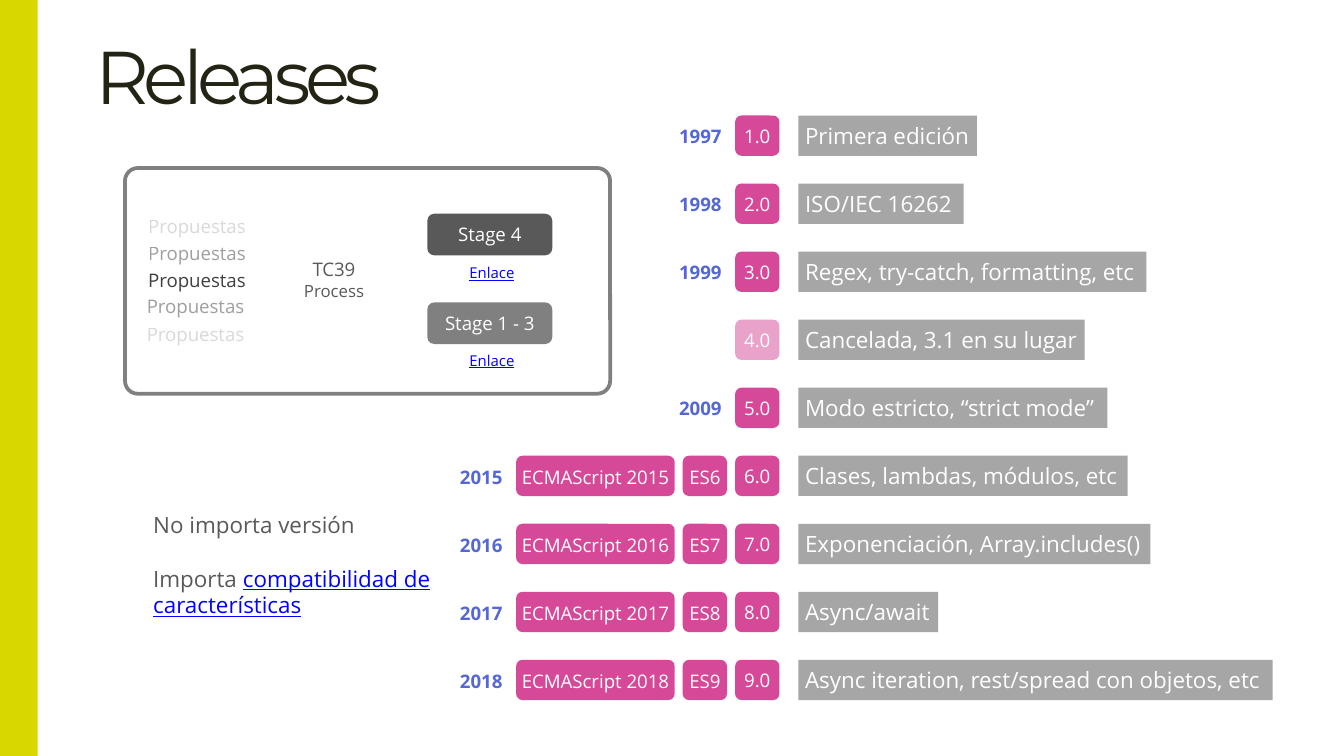
from lxml import etree
from pptx import Presentation
from pptx.dml.color import RGBColor
from pptx.enum.shapes import MSO_SHAPE
from pptx.enum.text import MSO_ANCHOR, MSO_AUTO_SIZE, PP_ALIGN
from pptx.oxml.ns import qn
from pptx.util import Inches, Pt

RECT, ROUND = MSO_SHAPE.RECTANGLE, MSO_SHAPE.ROUNDED_RECTANGLE
TOP, MID, BASE = MSO_ANCHOR.TOP, MSO_ANCHOR.MIDDLE, MSO_ANCHOR.BOTTOM
LEFT, MIDDLE = PP_ALIGN.LEFT, PP_ALIGN.CENTER
FIXED, GROW = MSO_AUTO_SIZE.NONE, MSO_AUTO_SIZE.SHAPE_TO_FIT_TEXT

THEME = {
    "fill": {"lime": "D8D800", "pink": "D54998", "bar": "A6A6A6",
             "dark": "595959", "gray": "808080"},
    # Text styles: size, colour, other font attributes
    "text": {
        "title": (40, "242415", {"name": "Montserrat"}),
        "pill": (10, "FFFFFF", {}),
        "bar": (12, "FFFFFF", {}),
        "year": (10, "5567D5", {"bold": True}),
        "idea": (10, "404040", {}),
        "head": (10, "595959", {}),
        "sub": (9, "595959", {}),
        "note": (12, "595959", {}),
        "link": (8, "0000FF", {"underline": True}),
        "biglink": (12, "0000FF", {"underline": True}),
    },
}


def add_box(at, lines=(), kind=None, fill=None, pad=0.05, anchor=MID,
            align=MIDDLE, wrap=True, size=FIXED, gap=0, curve=0.16):
    """Add a shape, or a text box when kind is None; lines hold (text, style) runs."""
    place = [Inches(n) for n in at]
    if kind is None:
        box = slide.shapes.add_textbox(*place)
    else:
        box = slide.shapes.add_shape(kind, *place)
        box.shadow.inherit = False
        box.line.fill.background()
        if kind == ROUND:
            box.adjustments[0] = curve
        if fill:
            box.fill.solid()
            box.fill.fore_color.rgb = RGBColor.from_string(THEME["fill"][fill])
        else:
            box.fill.background()
    frame = box.text_frame
    form = {"word_wrap": wrap, "vertical_anchor": anchor, "auto_size": size}
    form.update({f"margin_{side}": Inches(pad)
                 for side in ("left", "top", "right", "bottom")})
    for key, value in form.items():
        setattr(frame, key, value)
    for i, line in enumerate(lines):
        para = frame.add_paragraph() if i else frame.paragraphs[0]
        para.alignment = align
        if i and gap:
            para.space_before = Pt(gap)
        for text, style in line:
            run = para.add_run()
            run.text = text
            points, color, extra = THEME["text"][style]
            run.font.color.rgb = RGBColor.from_string(color)
            for key, value in {"name": "Open Sans", "size": Pt(points), **extra}.items():
                setattr(run.font, key, value)
    return box


def fade(part, alpha):
    """Set the opacity, in percent, of every colour in an XML part."""
    for color in part.iter(qn("a:srgbClr")):
        etree.SubElement(color, qn("a:alpha"), val=str(alpha * 1000))


deck = Presentation()
deck.slide_width = Inches(10)
deck.slide_height = Inches(10 * 9 / 16)
slide = deck.slides.add_slide(deck.slide_layouts[6])

# Side band and title
add_box((0, 0, 0.28, 10 * 9 / 16), kind=RECT, fill="lime")
title = add_box((0.71, 0, 9.02, 0.89), [[("Releases", "title")]],
                pad=0, anchor=BASE, align=LEFT)
title.text_frame.paragraphs[0].runs[0].font._element.set("spc", "-300")

# Release rows: year, bar width, summary
rows = [
    ("1997", 1.33, "Primera edición"),
    ("1998", 1.23, "ISO/IEC 16262"),
    ("1999", 2.59, "Regex, try-catch, formatting, etc"),
    (None, 2.13, "Cancelada, 3.1 en su lugar"),
    ("2009", 2.3, "Modo estricto, “strict mode”"),
    ("2015", 2.45, "Clases, lambdas, módulos, etc"),
    ("2016", 2.62, "Exponenciación, Array.includes()"),
    ("2017", 1.04, "Async/await"),
    ("2018", 3.53, "Async iteration, rest/spread con objetos, etc"),
]
first, last, high = 0.86, 4.91, 0.3
step = (last - first) / (len(rows) - 1)
label = {"pad": 0, "wrap": False, "size": GROW}
for i, (year, wide, text) in enumerate(rows):
    top, num = first + i * step, i + 1
    named = num >= 6
    pill = add_box((5.47, top, 0.33, high), [[(f"{num}.0", "pill")]], ROUND, "pink")
    if not year:
        fade(pill._element.spPr, 51)
    add_box((5.94, top, wide, high), [[(text, "bar")]], RECT, "bar",
            anchor=TOP, align=LEFT)
    if named:
        for left, span, name in [(5.08, 0.33, f"ES{num}"),
                                 (3.84, 1.18, f"ECMAScript {year}")]:
            add_box((left, top, span, high), kind=ROUND, fill="pink")
            add_box((left + 0.03, top + 0.07, span - 0.06, 0.17),
                    [[(name, "pill")]], **label)
    if year:
        add_box((3.42 if named else 5.05, top + 0.07, 0.32, 0.17),
                [[(year, "year")]], **label)

# Process panel
panel = add_box((0.93, 1.25, 3.61, 1.68), kind=ROUND, curve=0.057)
panel.line.color.rgb = RGBColor.from_string(THEME["fill"]["gray"])
panel.line.width = Pt(2)

# Proposals, fading away from the middle one
for left, top, alpha in [(0.99, 1.55, 20), (0.99, 1.75, 50), (0.99, 1.95, 100),
                         (0.98, 2.14, 50), (0.98, 2.35, 20)]:
    idea = add_box((left, top, 0.95, 0.27), [[("Propuestas", "idea")]], size=GROW)
    if alpha < 100:
        fade(idea._element.txBody, alpha)

add_box((2.18, 1.87, 0.61, 0.42), [[("TC39", "head")], [("Process", "sub")]],
        size=GROW)

# Stages with their links
for top, text, fill, below in [(1.59, "Stage 4", "dark", 0.32),
                               (2.25, "Stage 1 - 3", "gray", 0.31)]:
    add_box((3.18, top, 0.93, 0.31), [[(text, "pill")]], ROUND, fill, curve=0.17)
    add_box((3.39, top + below, 0.54, 0.24), [[("Enlace", "link")]], size=GROW)

# Closing note
add_box((1.14, 3.8, 2.12, 0.78),
        [[("No importa versión", "note")],
         [("Importa ", "note"), ("compatibilidad de características", "biglink")]],
        pad=0, anchor=TOP, align=LEFT, size=GROW, gap=14.5)

deck.save("out.pptx")
